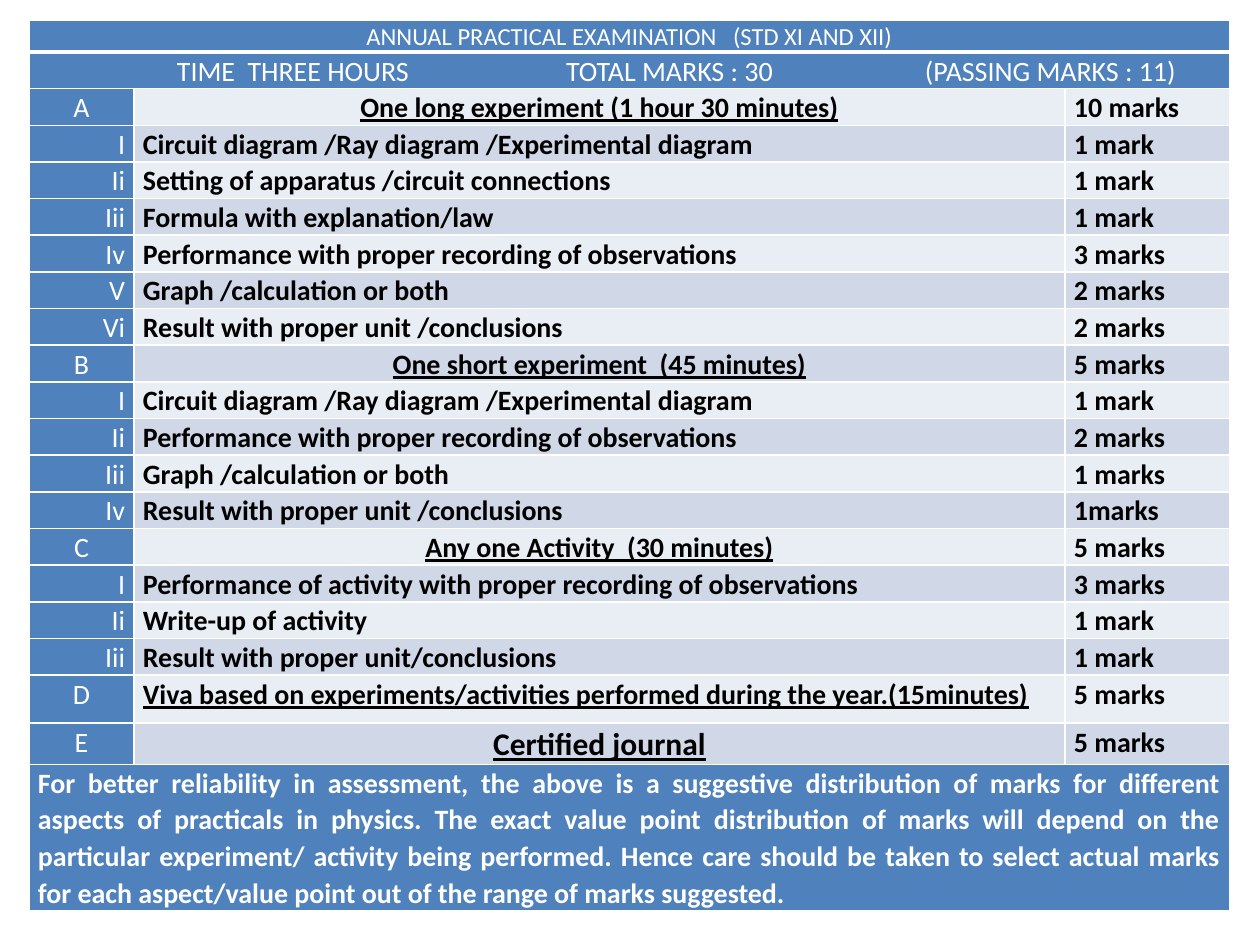
import pptx
import pptx.util
import pptx.dml.color
import pptx.enum.text
import pptx.oxml
import pptx.oxml.ns

SCALE = 914400 // 126
FONT = "Calibri"
HUES = {"blue": "4F81BD", "pale": "E9EDF4", "mist": "D0D8E8",
        "white": "FFFFFF", "black": "000000"}
ALIGN = pptx.enum.text.PP_ALIGN
TITLE = "ANNUAL PRACTICAL EXAMINATION   (STD XI AND XII)"
TERMS = ["TIME  THREE HOURS", "TOTAL MARKS : 30", "(PASSING MARKS : 11)"]
STOPS = [139, 528, 887]
NOTE = (
    "For better reliability in assessment, the above is a suggestive "
    "distribution of marks for different aspects of practicals in physics. "
    "The exact value point distribution of marks will depend on the "
    "particular experiment/ activity being performed. Hence care should be "
    "taken to select actual marks for each aspect/value point out of the "
    "range of marks suggested."
)
MARKS = [
    ("A", "One long experiment (1 hour 30 minutes)", "10 marks"),
    ("I", "Circuit diagram /Ray diagram /Experimental diagram", "1 mark"),
    ("Ii", "Setting of apparatus /circuit connections", "1 mark"),
    ("Iii", "Formula with explanation/law", "1 mark"),
    ("Iv", "Performance with proper recording of observations", "3 marks"),
    ("V", "Graph /calculation or both", "2 marks"),
    ("Vi", "Result with proper unit /conclusions", "2 marks"),
    ("B", "One short experiment  (45 minutes)", "5 marks"),
    ("I", "Circuit diagram /Ray diagram /Experimental diagram", "1 mark"),
    ("Ii", "Performance with proper recording of observations", "2 marks"),
    ("Iii", "Graph /calculation or both", "1 marks"),
    ("Iv", "Result with proper unit /conclusions", "1marks"),
    ("C", "Any one Activity  (30 minutes)", "5 marks"),
    ("I", "Performance of activity with proper recording of observations", "3 marks"),
    ("Ii", "Write-up of activity", "1 mark"),
    ("Iii", "Result with proper unit/conclusions", "1 mark"),
    ("D", "Viva based on experiments/activities performed during the year.(15minutes)", "5 marks"),
    ("E", "Certified journal", "5 marks"),
]
COLS = [105, 931, 165]
ROWS = [31, 36] + [36] * (len(MARKS) - 2) + [48, 40, 143]


def px(size):
    return pptx.util.Emu(size * SCALE)


def color(name):
    return pptx.dml.color.RGBColor.from_string(HUES[name])


def border(cell, base):
    props = cell._tc.get_or_add_tcPr()
    widths = {"lnL": 1, "lnR": 1, "lnT": 1, "lnB": base}
    for place, (tag, width) in enumerate(widths.items()):
        line = pptx.oxml.parse_xml(
            f'<a:{tag} {pptx.oxml.ns.nsdecls("a")} w="{pptx.util.Pt(width)}">'
            f'<a:solidFill><a:srgbClr val="{HUES["white"]}"/></a:solidFill>'
            f'</a:{tag}>')
        props.insert(place, line)


def paint(cell, fill, base=1):
    cell.fill.solid()
    cell.fill.fore_color.rgb = color(fill)
    cell.margin_left = cell.margin_right = px(9)
    cell.margin_top = cell.margin_bottom = 0
    border(cell, base)


def add_tabs(para, stops):
    marks = "".join(f'<a:tab pos="{px(stop)}" algn="l"/>' for stop in stops)
    para._p.get_or_add_pPr().append(pptx.oxml.parse_xml(
        f'<a:tabLst {pptx.oxml.ns.nsdecls("a")}>{marks}</a:tabLst>'))


def write(cell, text, align, hue="white", size=16, bold=False, under=False, stops=()):
    para = cell.text_frame.paragraphs[0]
    para.add_run().text = text
    para.alignment = align
    para.line_spacing = 1.07
    if stops:
        add_tabs(para, stops)
    font = para.font
    font.name = FONT
    font.size = pptx.util.Pt(size)
    font.bold = bold
    font.underline = under
    font.color.rgb = color(hue)
    for run in para.runs:
        run.font.bold = bold
        run.font.color.rgb = color(hue)


def add_band(table, row, text, align, base=1, **style):
    for col in range(len(COLS)):
        paint(table.cell(row, col), "blue", base)
    first = table.cell(row, 0)
    first.merge(table.cell(row, len(COLS) - 1))
    write(first, text, align, **style)


def add_marks(table, row, label, task, mark):
    head = label in "ABCDE"
    fill = "mist" if row % 2 else "pale"
    cells = [table.cell(row, col) for col in range(len(COLS))]
    for cell, hue in zip(cells, ["blue", fill, fill]):
        paint(cell, hue)
    write(cells[0], label, ALIGN.CENTER if head else ALIGN.RIGHT)
    write(cells[1], task, ALIGN.CENTER if head and label != "D" else ALIGN.JUSTIFY,
          "black", 18 if label == "E" else 16, True, head)
    write(cells[2], mark, ALIGN.JUSTIFY, "black", bold=True)


def add_grid(slide):
    table = slide.shapes.add_table(
        len(ROWS), len(COLS), px(29), px(20), px(sum(COLS)), px(sum(ROWS))).table
    table.first_row = table.horz_banding = False
    for col, width in zip(table.columns, COLS):
        col.width = px(width)
    for row, height in zip(table.rows, ROWS):
        row.height = px(height)
    return table


def main():
    deck = pptx.Presentation()
    deck.slide_width, deck.slide_height = px(1260), px(945)
    slide = deck.slides.add_slide(deck.slide_layouts[6])
    table = add_grid(slide)
    add_band(table, 0, TITLE, ALIGN.CENTER, base=3, size=14)
    add_band(table, 1, "".join("\t" + term for term in TERMS), ALIGN.LEFT, stops=STOPS)
    for row, entry in enumerate(MARKS, 2):
        add_marks(table, row, *entry)
    add_band(table, len(ROWS) - 1, NOTE, ALIGN.JUSTIFY, bold=True)
    deck.save("out.pptx")


if __name__ == "__main__":
    main()
